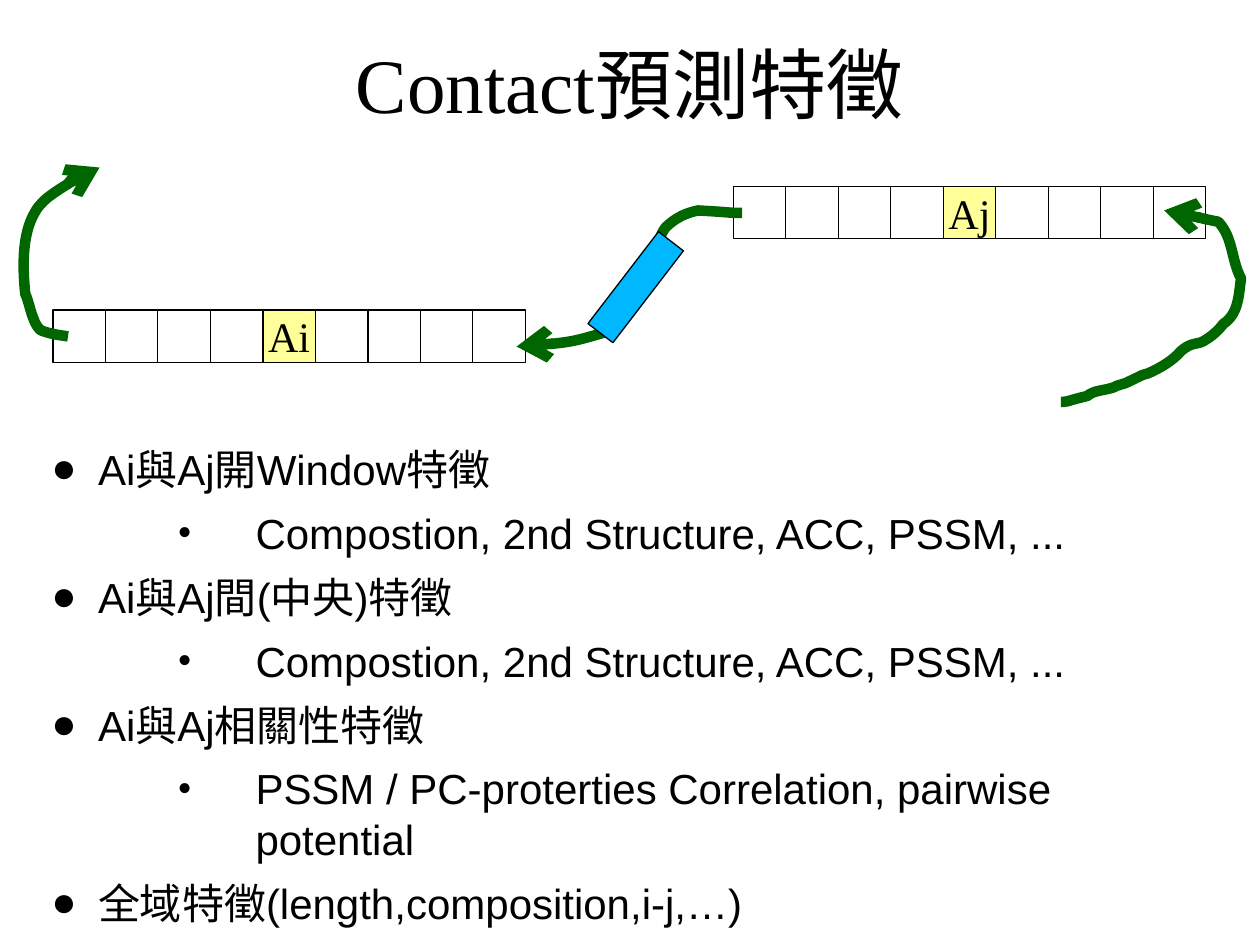
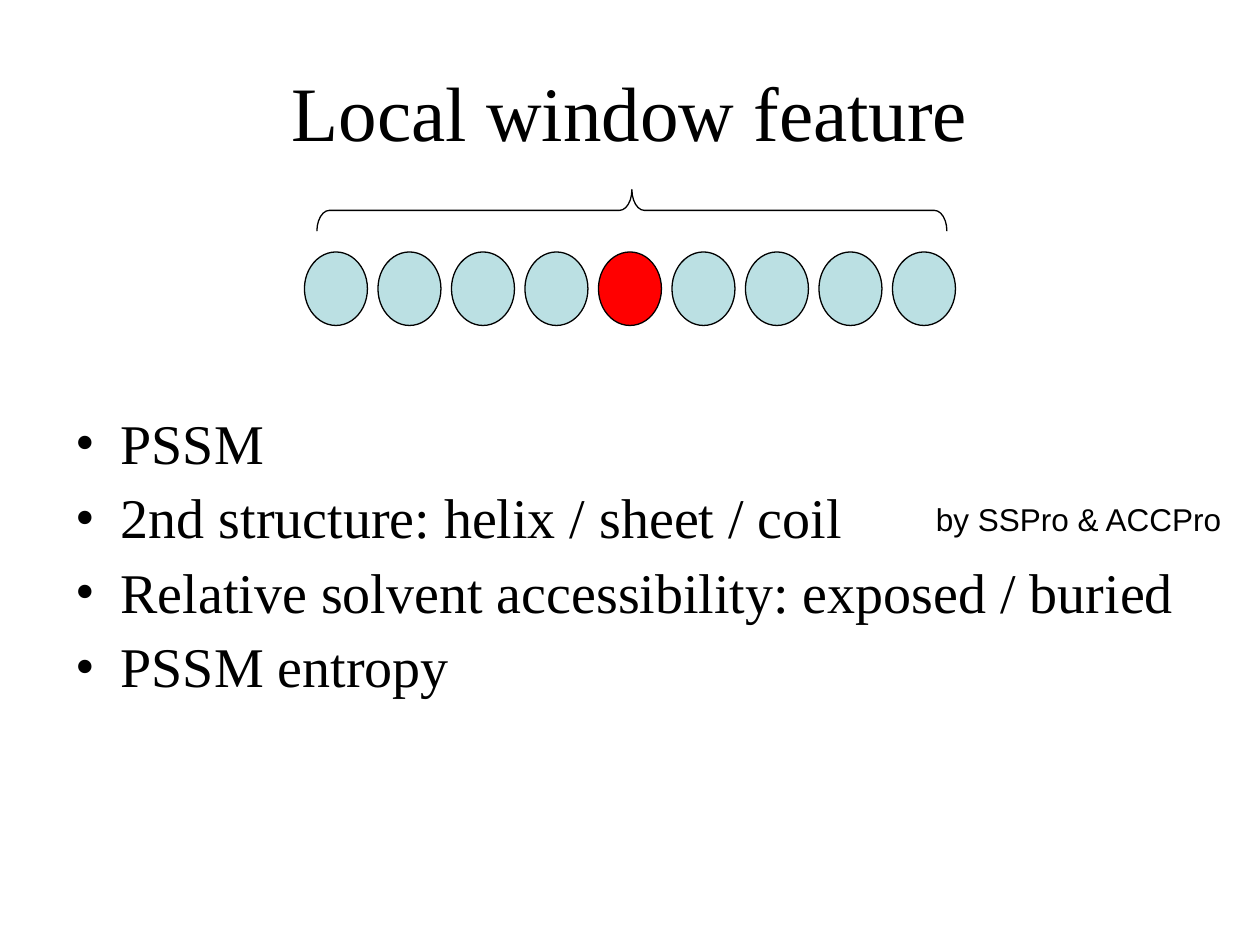
from lxml import etree
from pptx import Presentation
from pptx.dml.color import RGBColor
from pptx.enum.shapes import MSO_SHAPE
from pptx.enum.text import MSO_ANCHOR, PP_ALIGN
from pptx.oxml.ns import qn
from pptx.util import Inches, Pt

RECTANGLE, OVAL, BRACE = MSO_SHAPE.RECTANGLE, MSO_SHAPE.OVAL, MSO_SHAPE.LEFT_BRACE
TOP, MIDDLE = MSO_ANCHOR.TOP, MSO_ANCHOR.MIDDLE
LEFT, CENTER = PP_ALIGN.LEFT, PP_ALIGN.CENTER

BLACK, GREEN, YELLOW = "000000", "006600", "FFFF99"
BLUE, PALE_BLUE, RED = "00B8FF", "BBE0E3", "FF0000"
SERIF, SANS = "Times New Roman", "Arial"

TITLE = {"font": {"name": SERIF, "size": Pt(44)}, "gap": 0,
         "paragraph": {"alignment": CENTER, "line_spacing": 0.9}, "anchor": MIDDLE}
LABEL = {"font": {"name": SERIF, "size": Pt(24)}, "gap": 0,
         "paragraph": {"alignment": CENTER}, "anchor": MIDDLE}
OUTLINE = {"font": {"name": SANS, "size": Pt(24)}, "gap": 7.7,
           "paragraph": {"alignment": LEFT}, "anchor": TOP}
FEATURES = {"font": {"name": SERIF, "size": Pt(32)}, "gap": 8,
            "paragraph": {"alignment": LEFT, "line_spacing": 0.9}, "anchor": TOP}
NOTE = {"font": {"name": SANS, "size": Pt(18)}, "gap": 0,
        "paragraph": {"alignment": LEFT}, "anchor": TOP}

# Bullet levels: sign, left margin, hanging indent
MAIN = ("●", 0.37, 0.37)
DETAIL = ("•", 1.62, 0.62)
POINT = ("•", 0.36, 0.36)


def paint(shape, fill=None, line=BLACK, width=0.75):
    shape.shadow.inherit = False
    if fill:
        shape.fill.solid()
        shape.fill.fore_color.rgb = RGBColor.from_string(fill)
    else:
        shape.fill.background()
    shape.line.color.rgb = RGBColor.from_string(line)
    shape.line.width = Pt(width)


def write(shape, lines, look, wrap=True):
    """Fill a shape with (text, bullet) lines in one look."""
    frame = shape.text_frame
    frame.word_wrap = wrap
    frame.vertical_anchor = look["anchor"]
    for number, (text, bullet) in enumerate(lines):
        para = frame.add_paragraph() if number else frame.paragraphs[0]
        if bullet:
            sign, margin, hanging = bullet
            properties = para._p.get_or_add_pPr()
            properties.set("marL", str(Inches(margin)))
            properties.set("indent", str(-Inches(hanging)))
            etree.SubElement(properties, qn("a:buFont")).set("typeface", SERIF)
            etree.SubElement(properties, qn("a:buChar")).set("char", sign)
        for name, value in look["paragraph"].items():
            setattr(para, name, value)
        para.space_before = Pt(look["gap"] if number else 0)
        span = para.add_run()
        span.text = text
        for name, value in look["font"].items():
            setattr(span.font, name, value)
        span.font.color.rgb = RGBColor.from_string(BLACK)


deck = Presentation()
deck.slide_width, deck.slide_height = Inches(10), Inches(7.5)
blank = deck.slide_layouts[6]
contact_page = deck.slides.add_slide(blank)
window_page = deck.slides.add_slide(blank)

# Text of both slides
texts = [
    (contact_page, (0.75, 0.33, 8.5, 0.74), TITLE, [("Contact預測特徵", None)]),
    (contact_page, (0.31, 3.47, 9.37, 3.28), OUTLINE, [
        ("Ai與Aj開Window特徵", MAIN),
        ("Compostion, 2nd Structure, ACC, PSSM, ...", DETAIL),
        ("Ai與Aj間(中央)特徵", MAIN),
        ("Compostion, 2nd Structure, ACC, PSSM, ...", DETAIL),
        ("Ai與Aj相關性特徵", MAIN),
        ("PSSM / PC-proterties Correlation, pairwise potential", DETAIL),
        ("全域特徵(length,composition,i-j,…)", MAIN)]),
    (window_page, (0.5, 0.3, 9, 1.25), TITLE, [("Local window feature", None)]),
    (window_page, (0.5, 3.25, 9, 3.45), FEATURES, [
        ("PSSM", POINT),
        ("2nd structure: helix / sheet / coil", POINT),
        ("Relative solvent accessibility: exposed / buried", POINT),
        ("PSSM entropy", POINT)]),
    (window_page, (7.33, 3.92, 2.5, 0.4), NOTE, [("by SSPro & ACCPro", None)]),
]
for page, place, look, lines in texts:
    box = page.shapes.add_textbox(*map(Inches, place))
    write(box, lines, look)

# Two residue windows of nine cells, the middle one named
WINDOW = 9
CENTRE = WINDOW // 2
CELL = deck.slide_width / 24
for name, start, top in [("Ai", 0.42, 2.46), ("Aj", 5.82, 1.48)]:
    for step in range(WINDOW):
        left = int(Inches(start) + step * CELL)
        cell = contact_page.shapes.add_shape(
            RECTANGLE, left, Inches(top), int(CELL), int(CELL))
        paint(cell, YELLOW if step == CENTRE else None)
        if step == CENTRE:
            write(cell, [(name, None)], LABEL, wrap=False)

# Chain strands: arrow end, start point, then Bezier segments (two controls, end)
strands = [
    ("headEnd", (4.1, 2.75), [
        (4.46, 2.73, 4.56, 2.71, 4.86, 2.62), (5, 2.52, 5.01, 2.43, 5.08, 2.29),
        (5.13, 2.2, 5.18, 2.1, 5.21, 2), (5.23, 1.93, 5.24, 1.83, 5.31, 1.78),
        (5.38, 1.72, 5.45, 1.69, 5.54, 1.67), (5.88, 1.69, 5.76, 1.69, 5.89, 1.69)]),
    ("tailEnd", (0.54, 2.67), [
        (0.47, 2.66, 0.39, 2.65, 0.32, 2.62), (0.3, 2.6, 0.28, 2.57, 0.27, 2.54),
        (0.24, 2.47, 0.23, 2.4, 0.2, 2.33), (0.18, 2.13, 0.17, 1.86, 0.28, 1.68),
        (0.3, 1.64, 0.36, 1.58, 0.39, 1.56), (0.44, 1.52, 0.54, 1.46, 0.54, 1.46),
        (0.6, 1.38, 0.53, 1.45, 0.64, 1.4), (0.72, 1.37, 0.69, 1.33, 0.79, 1.33)]),
    ("headEnd", (9.24, 1.67), [
        (9.38, 1.69, 9.52, 1.73, 9.67, 1.76), (9.79, 1.89, 9.77, 2.06, 9.85, 2.21),
        (9.83, 2.35, 9.83, 2.49, 9.71, 2.57), (9.68, 2.61, 9.63, 2.66, 9.58, 2.69),
        (9.5, 2.75, 9.47, 2.7, 9.37, 2.79), (9.31, 2.86, 9.21, 2.92, 9.12, 2.96),
        (9.1, 2.97, 9.07, 2.97, 9.04, 2.99), (8.91, 3.05, 8.97, 3.03, 8.87, 3.06),
        (8.82, 3.09, 8.76, 3.09, 8.69, 3.11), (8.59, 3.15, 8.68, 3.13, 8.6, 3.15),
        (8.56, 3.16, 8.52, 3.17, 8.49, 3.18), (8.46, 3.19, 8.42, 3.19, 8.42, 3.19)]),
]
for arrow_end, start, segments in strands:
    builder = contact_page.shapes.build_freeform(*map(Inches, start))
    ends = [tuple(map(Inches, segment[4:])) for segment in segments]
    builder.add_line_segments(ends, close=False)
    strand = builder.convert_to_shape()
    paint(strand, line=GREEN, width=6)

    # Bend each straight segment into its Bezier curve
    straights = list(strand._element.iter(qn("a:lnTo")))
    for straight, segment in zip(straights, segments):
        straight.tag = qn("a:cubicBezTo")
        for position in (0, 2):
            control = etree.Element(qn("a:pt"))
            control.set("x", str(Inches(segment[position]) - strand.left))
            control.set("y", str(Inches(segment[position + 1]) - strand.top))
            straight.insert(position // 2, control)

    outline = strand.line._get_or_add_ln()
    etree.SubElement(outline, qn("a:round"))
    etree.SubElement(outline, qn("a:" + arrow_end)).set("type", "arrow")

# Tilted rod between the windows
rod = contact_page.shapes.add_shape(RECTANGLE, *map(Inches, (4.92, 1.82, 0.25, 0.92)))
rod.rotation = 37.5
paint(rod, BLUE)

# Row of residues under a brace
PITCH = deck.slide_width * 7 / 120
first_left = deck.slide_width * 29 / 120
for step in range(WINDOW):
    residue = window_page.shapes.add_shape(
        OVAL, int(first_left + step * PITCH), Inches(2), Inches(0.5), int(PITCH))
    paint(residue, RED if step == CENTRE else PALE_BLUE)

brace = window_page.shapes.add_shape(BRACE, *map(Inches, (4.85, -0.83, 0.33, 5)))
brace.rotation = 90
brace.adjustments[0] = 0.3
paint(brace)

deck.save("out.pptx")
